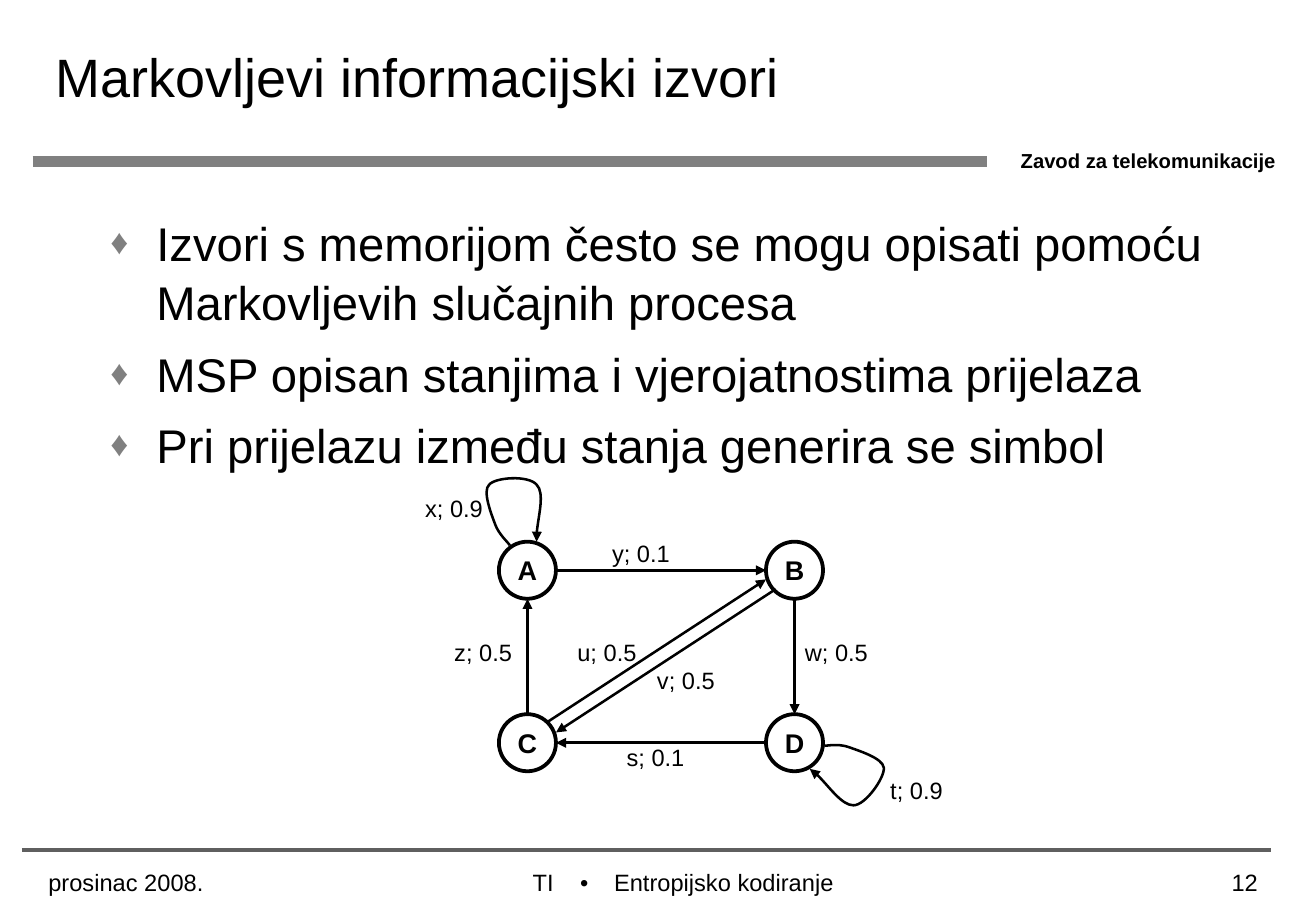
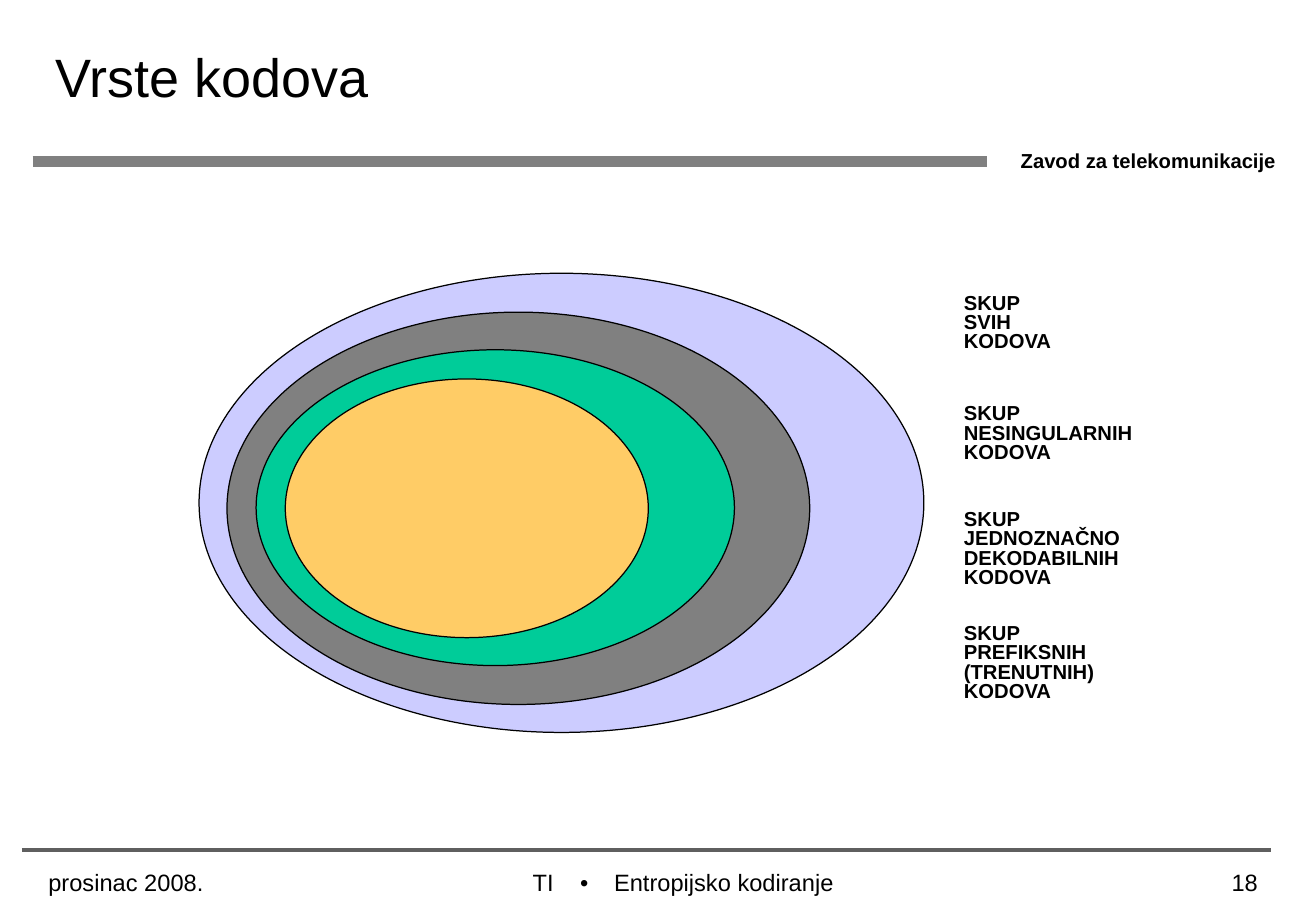
import pptx
import pptx.dml.color
import pptx.enum.shapes
import pptx.enum.text
import pptx.oxml
import pptx.oxml.ns
import pptx.util
from lxml import etree

Inches, Pt = pptx.util.Inches, pptx.util.Pt
RGBColor = pptx.dml.color.RGBColor
qn = pptx.oxml.ns.qn
ALIGN = pptx.enum.text.PP_ALIGN
ANCHOR = pptx.enum.text.MSO_ANCHOR
OVAL = pptx.enum.shapes.MSO_SHAPE.OVAL
STRAIGHT = pptx.enum.shapes.MSO_CONNECTOR.STRAIGHT

BLACK = RGBColor(0x00, 0x00, 0x00)
GRAY = RGBColor(0x80, 0x80, 0x80)
DARK_GRAY = RGBColor(0x5F, 0x5F, 0x5F)
LAVENDER = RGBColor(0xCC, 0xCC, 0xFF)
GREEN = RGBColor(0x00, 0xCC, 0x99)
AMBER = RGBColor(0xFF, 0xCC, 0x66)

FONT = "Arial"
TITLE = {"size": Pt(32)}
BODY = {"size": Pt(28)}
FOOTER = {"size": Pt(14)}
EDGE_LABEL = {"size": Pt(14)}
NODE = {"size": Pt(16), "bold": True}
SMALL_BOLD = {"size": Pt(12), "bold": True}

NODE_SIZE = 0.47
LABEL_WIDTH = 0.8


def set_all(target, values):
    for name, value in values.items():
        setattr(target, name, value)


def write(p, text, font, **layout):
    """Put one formatted run in a paragraph and set paragraph attributes."""
    set_all(p, layout)
    r = p.add_run()
    r.text = text
    set_all(r.font, {"name": FONT, **font})
    r.font.color.rgb = BLACK


def add_text(s, box, lines, font, wrap=True, anchor=ANCHOR.TOP, left_inset=0.1, **layout):
    tb = s.shapes.add_textbox(*map(Inches, box))
    tf = tb.text_frame
    set_all(tf, {"word_wrap": wrap, "vertical_anchor": anchor,
                 "margin_left": Inches(left_inset)})
    for i, line in enumerate(lines):
        p = tf.add_paragraph() if i else tf.paragraphs[0]
        write(p, line, font, **layout)
    return tb


def set_line(shape, color, width):
    shape.line.color.rgb = color
    shape.line.width = Pt(width)


def add_arrowhead(shape):
    ln = shape.element.spPr.find(qn("a:ln"))
    etree.SubElement(ln, qn("a:tailEnd"), type="triangle")


def add_line(s, start, end, color=BLACK, width=1.5):
    cn = s.shapes.add_connector(STRAIGHT, *map(Inches, (*start, *end)))
    set_line(cn, color, width)
    etree.SubElement(cn.element.spPr, qn("a:effectLst"))
    return cn


def add_ellipse(s, box, width, fill=None):
    sp = s.shapes.add_shape(OVAL, *map(Inches, box))
    sp.shadow.inherit = False
    if fill is None:
        sp.fill.background()
    else:
        sp.fill.solid()
        sp.fill.fore_color.rgb = fill
    set_line(sp, BLACK, width)
    return sp


def add_node(s, name, left, top):
    sp = add_ellipse(s, (left, top, NODE_SIZE, NODE_SIZE), 2.25)
    tf = sp.text_frame
    set_all(tf, dict.fromkeys(
        ("margin_left", "margin_right", "margin_top", "margin_bottom"), 0))
    set_all(tf, {"word_wrap": False, "vertical_anchor": ANCHOR.MIDDLE})
    write(tf.paragraphs[0], name, NODE, alignment=ALIGN.CENTER)


def add_loop(s, points):
    """Draw an arrow of cubic curves: a start, then three points per curve."""
    start, *rest = [(Inches(x), Inches(y)) for x, y in points]
    builder = s.shapes.build_freeform(*start)
    builder.add_line_segments(rest, close=False)
    sp = builder.convert_to_shape()
    segments = list(sp.element.iter(qn("a:lnTo")))
    for i in range(0, len(segments), 3):
        curve = etree.Element(qn("a:cubicBezTo"))
        segments[i].addprevious(curve)
        for segment in segments[i:i + 3]:
            curve.append(segment[0])
            segment.getparent().remove(segment)
    sp.shadow.inherit = False
    sp.fill.background()
    set_line(sp, BLACK, 1.5)
    add_arrowhead(sp)


def add_bullet(p):
    pPr = p._p.get_or_add_pPr()
    pPr.set("marL", str(Inches(0.38)))
    pPr.set("indent", str(-Inches(0.38)))
    color = etree.SubElement(pPr, qn("a:buClr"))
    etree.SubElement(color, qn("a:srgbClr"), val=str(GRAY))
    etree.SubElement(pPr, qn("a:buSzPct"), val="75000")
    etree.SubElement(pPr, qn("a:buFont"), typeface=FONT)
    etree.SubElement(pPr, qn("a:buChar"), char="♦")


def add_tabs(p, stops):
    tabs = etree.SubElement(p._p.get_or_add_pPr(), qn("a:tabLst"))
    for stop in stops:
        etree.SubElement(tabs, qn("a:tab"), pos=str(Inches(stop)), algn="l")


def add_frame(s):
    """Draw the band, department name and footer rule, and move them to the layout."""
    frame = [
        add_line(s, (0.27, 1.33), (8.13, 1.33), GRAY, 6),
        add_text(s, (8.31, 1.17, 2.53, 0.3), ["Zavod za telekomunikacije"],
                 SMALL_BOLD, wrap=False),
        add_line(s, (0.18, 7), (10.47, 7), DARK_GRAY, 2.25),
    ]
    for shape in frame:
        s.slide_layout.shapes.element.append(shape.element)


def add_slide(prs, title, number):
    s = prs.slides.add_slide(prs.slide_layouts[5])
    if len(prs.slides) == 1:
        add_frame(s)
    ph = s.shapes.title
    set_all(ph, {"left": Inches(0.36), "top": Inches(0),
                 "width": Inches(9.21), "height": Inches(1.25)})
    tf = ph.text_frame
    set_all(tf, {"vertical_anchor": ANCHOR.MIDDLE, "word_wrap": True,
                 "auto_size": pptx.enum.text.MSO_AUTO_SIZE.NONE})
    write(tf.paragraphs[0], title, TITLE, alignment=ALIGN.LEFT)

    add_text(s, (0.3, 7.1, 1.95, 0.4), ["prosinac 2008."], FOOTER)
    course = add_text(s, (4.29, 7.1, 3, 0.4), ["TI\t•\tEntropijsko kodiranje"], FOOTER)
    add_tabs(course.text_frame.paragraphs[0], (0.39, 0.67))
    add_text(s, (9.09, 7.1, 1.37, 0.4), [number], FOOTER, alignment=ALIGN.RIGHT)
    return s


def add_bullets(s, lines):
    tb = add_text(s, (0.81, 1.69, 9.21, 2.2), lines, BODY, line_spacing=1.05)
    for i, p in enumerate(tb.text_frame.paragraphs):
        add_bullet(p)
        p.space_before = Pt(7 if i else 0)


def add_state_diagram(s):
    left, right, top, bottom = 4.11, 6.31, 4.46, 5.88
    for name, x, y in (("A", left, top), ("B", right, top),
                       ("C", left, bottom), ("D", right, bottom)):
        add_node(s, name, x, y)

    half = NODE_SIZE / 2
    mid_left, mid_right = left + half, right + half
    mid_top, mid_bottom = top + half, bottom + half
    transitions = (
        ((left + NODE_SIZE, mid_top), (right, mid_top)),
        ((right, mid_bottom), (left + NODE_SIZE, mid_bottom)),
        ((mid_left, bottom), (mid_left, top + NODE_SIZE)),
        ((mid_right, top + NODE_SIZE), (mid_right, bottom)),
        ((4.5, 5.95), (6.31, 4.77)),
        ((6.39, 4.85), (4.58, 6.03)),
    )
    for start, end in transitions:
        add_arrowhead(add_line(s, start, end))

    add_loop(s, ((4.2, 4.49), (4.18, 4.46), (4.11, 4.4), (4.08, 4.32),
                 (4.05, 4.24), (3.97, 4.04), (4.03, 3.99),
                 (4.08, 3.93), (4.35, 3.91), (4.42, 3.99),
                 (4.49, 4.06), (4.41, 4.34), (4.42, 4.46)))
    add_loop(s, ((6.79, 6.14), (6.82, 6.14), (6.9, 6.12), (6.99, 6.15),
                 (7.07, 6.18), (7.27, 6.24), (7.28, 6.32),
                 (7.29, 6.4), (7.13, 6.63), (7.03, 6.63),
                 (6.93, 6.63), (6.77, 6.39), (6.67, 6.33)))

    labels = (("x; 0.9", 3.74, 4.06), ("y; 0.1", 5.28, 4.43),
              ("z; 0.5", 3.98, 5.25), ("u; 0.5", 5, 5.25),
              ("v; 0.5", 5.65, 5.48), ("w; 0.5", 6.89, 5.25),
              ("s; 0.1", 5.4, 6.11), ("t; 0.9", 7.55, 6.38))
    for text, center, y in labels:
        add_text(s, (center - LABEL_WIDTH / 2, y, LABEL_WIDTH, 0.29), [text],
                 EDGE_LABEL, wrap=False, alignment=ALIGN.CENTER, line_spacing=0.8)


def add_code_sets(s):
    sets = (
        ((1.64, 2.25, 5.97, 3.78), LAVENDER, 2.33, 0.96, ["SKUP SVIH KODOVA"]),
        ((1.87, 2.57, 4.8, 3.23), GRAY, 3.24, 1.73, ["SKUP NESINGULARNIH KODOVA"]),
        ((2.11, 2.88, 3.94, 2.6), GREEN, 4.19, 1.81,
         ["SKUP JEDNOZNAČNO", "DEKODABILNIH KODOVA"]),
        ((2.35, 3.12, 2.99, 2.13), AMBER, 5.13, 1.26,
         ["SKUP PREFIKSNIH", "(TRENUTNIH) KODOVA"]),
    )
    for box, fill, top, width, lines in sets:
        add_ellipse(s, box, 0.75, fill)
        add_text(s, (7.94, top, width, 0.67), lines, SMALL_BOLD,
                 anchor=ANCHOR.MIDDLE, left_inset=0, line_spacing=0.8)


def main():
    prs = pptx.Presentation()
    prs.slide_width, prs.slide_height = Inches(10.84), Inches(7.5)

    s = add_slide(prs, "Markovljevi informacijski izvori", "12")
    add_bullets(s, [
        "Izvori s memorijom često se mogu opisati pomoću Markovljevih slučajnih procesa",
        "MSP opisan stanjima i vjerojatnostima prijelaza",
        "Pri prijelazu između stanja generira se simbol",
    ])
    add_state_diagram(s)

    s = add_slide(prs, "Vrste kodova", "18")
    add_code_sets(s)

    prs.save("out.pptx")


if __name__ == "__main__":
    main()
